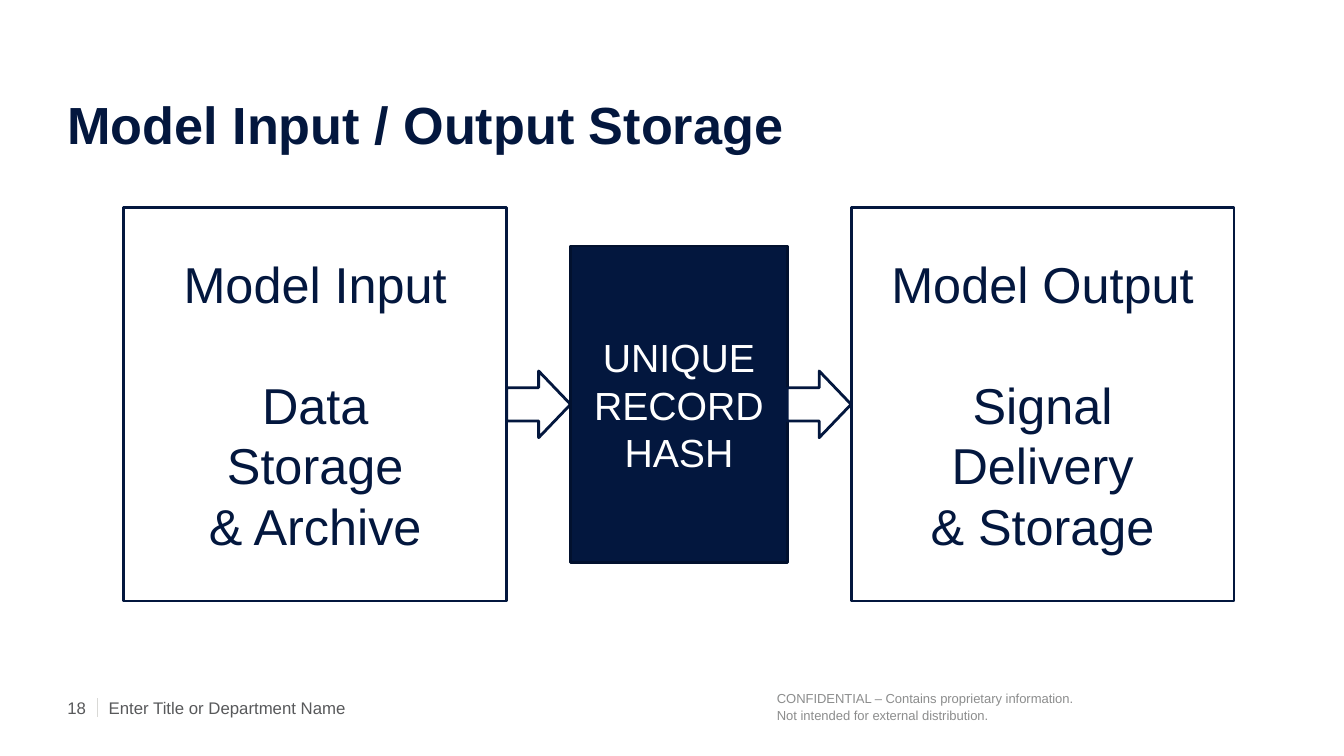
from pptx import Presentation
from pptx.dml.color import RGBColor
from pptx.enum.shapes import MSO_CONNECTOR, MSO_SHAPE
from pptx.enum.text import MSO_ANCHOR, PP_ALIGN
from pptx.oxml.ns import qn
from pptx.util import Cm, Pt
from lxml import etree

NAVY = RGBColor(0x03, 0x17, 0x3E)
DARK_NAVY = RGBColor(0x02, 0x11, 0x2E)
WHITE = RGBColor(0xFF, 0xFF, 0xFF)
GRAY = RGBColor(0x58, 0x59, 0x5B)
LIGHT_GRAY = RGBColor(0x8C, 0x8D, 0x8D)
RULE_GRAY = RGBColor(0xD9, 0xD9, 0xD6)
LEFT, CENTER = PP_ALIGN.LEFT, PP_ALIGN.CENTER
TOP, MIDDLE, BOTTOM = MSO_ANCHOR.TOP, MSO_ANCHOR.MIDDLE, MSO_ANCHOR.BOTTOM
RECTANGLE, RIGHT_ARROW = MSO_SHAPE.RECTANGLE, MSO_SHAPE.RIGHT_ARROW
STRAIGHT = MSO_CONNECTOR.STRAIGHT

presentation = Presentation()
presentation.slide_width, presentation.slide_height = Cm(33.87), Cm(19.05)
slide = presentation.slides.add_slide(presentation.slide_layouts[6])


def write_text(shape, lines, size, color, bold=False, align=LEFT, anchor=MIDDLE,
               margins=(0.25, 0.13, 0.25, 0.13), wrap=True, spacing=None, heading_gap=0):
    """Fill a shape with one paragraph per line; margins are left, top, right, bottom in cm."""
    frame = shape.text_frame
    frame.word_wrap = wrap
    frame.vertical_anchor = anchor
    (frame.margin_left, frame.margin_top,
     frame.margin_right, frame.margin_bottom) = [Cm(margin) for margin in margins]
    for index, line in enumerate(lines):
        paragraph = frame.paragraphs[0] if index == 0 else frame.add_paragraph()
        paragraph.alignment = align
        if spacing:
            paragraph.line_spacing = spacing
        if index == 0 and heading_gap:
            paragraph.space_after = Pt(heading_gap)
        run = paragraph.add_run()
        run.text = line
        run.font.name = "Arial"
        run.font.size = Pt(size)
        run.font.bold = bold
        run.font.color.rgb = color


def add_block(kind, left, width, height, fill, line):
    """Add a shape centred on the horizontal axis of the flow."""
    shape = slide.shapes.add_shape(
        kind, Cm(left), Cm(FLOW_AXIS - height / 2), Cm(width), Cm(height))
    shape.shadow.inherit = False
    shape.fill.solid()
    shape.fill.fore_color.rgb = fill
    shape.line.color.rgb = line
    shape.line.width = Pt(2)
    return shape


# Title and footer
NO_MARGINS = (0, 0, 0, 0)
texts = [
    (1.7, 0.91, 30.48, 3, ["Model Input / Output Storage"],
     dict(size=37.3, color=NAVY, bold=True, anchor=BOTTOM, margins=NO_MARGINS)),
    (19.58, 17.35, 8.69, 0.91,
     ["CONFIDENTIAL – Contains proprietary information.",
      "Not intended for external distribution."],
     dict(size=9.3, color=LIGHT_GRAY, anchor=TOP, margins=NO_MARGINS, spacing=1.1)),
    (1.7, 17.48, 0.91, 0.69, ["18"],
     dict(size=12, color=GRAY, margins=(0, 0.13, 0, 0.13), wrap=False)),
    (2.74, 17.48, 12.55, 0.69, ["Enter Title or Department Name"],
     dict(size=12, color=GRAY, margins=(0, 0.13, 0.25, 0.13), wrap=False)),
]
for left, top, width, height, lines, text_format in texts:
    text_box = slide.shapes.add_textbox(Cm(left), Cm(top), Cm(width), Cm(height))
    write_text(text_box, lines, **text_format)

divider = slide.shapes.add_connector(STRAIGHT, Cm(2.46), Cm(17.6), Cm(2.46), Cm(18.06))
divider.line.color.rgb = RULE_GRAY
divider.line.width = Pt(0.75)
etree.SubElement(divider.element.spPr, qn("a:effectLst"))

# Flow: input, hash and output blocks, with an arrow filling each gap
FLOW_AXIS = 10.19
ARROW_WIDTH, ARROW_HEIGHT = 1.61, 1.68
storage = dict(size=36, color=NAVY, heading_gap=43)
blocks = [
    (9.65, 9.91, WHITE, NAVY, ["Model Input", "Data", "Storage", "& Archive"], storage),
    (5.46, 7.98, NAVY, DARK_NAVY, ["UNIQUE", "RECORD", "HASH"], dict(size=28, color=WHITE)),
    (9.65, 9.91, WHITE, NAVY, ["Model Output", "Signal", "Delivery", "& Storage"], storage),
]
left = 3.12
for index, (width, height, fill, line, lines, text_format) in enumerate(blocks):
    if index > 0:
        add_block(RIGHT_ARROW, left, ARROW_WIDTH, ARROW_HEIGHT, WHITE, NAVY)
        left += ARROW_WIDTH
    block = add_block(RECTANGLE, left, width, height, fill, line)
    write_text(block, lines, align=CENTER, **text_format)
    left += width

presentation.save("out.pptx")
